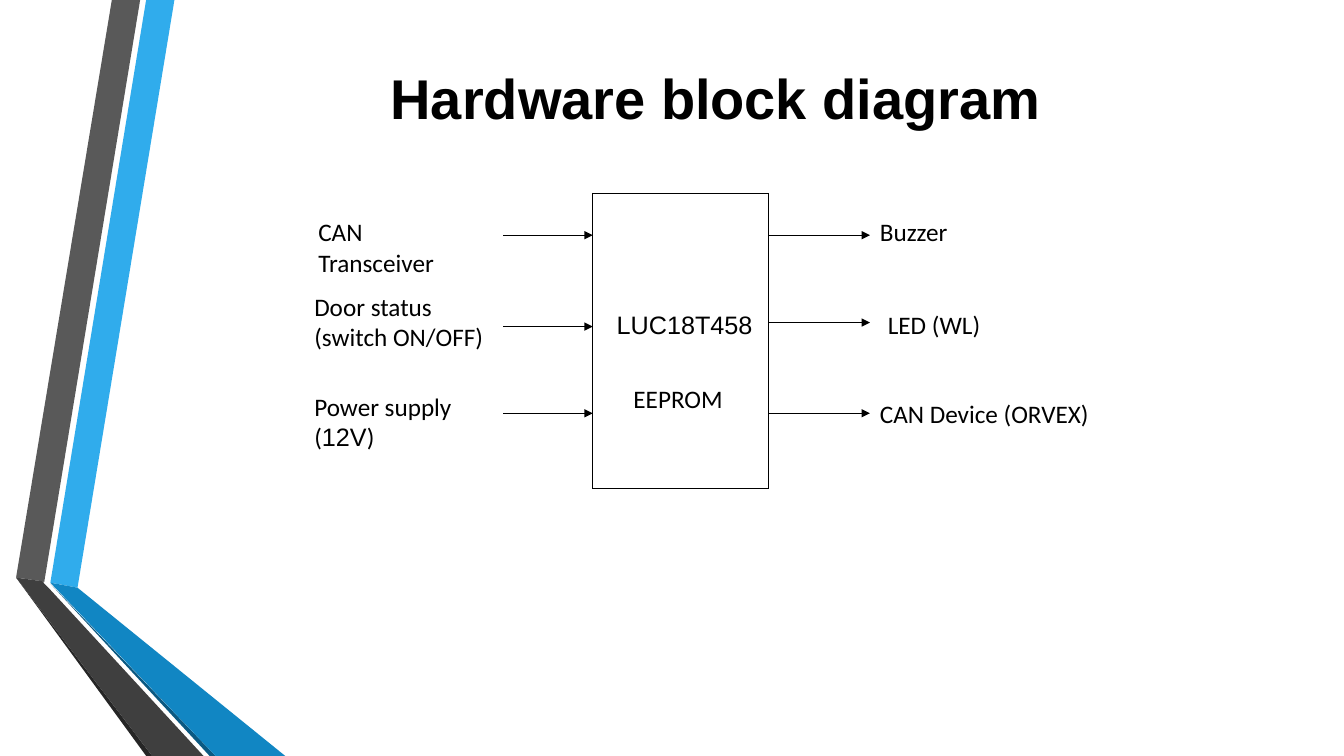
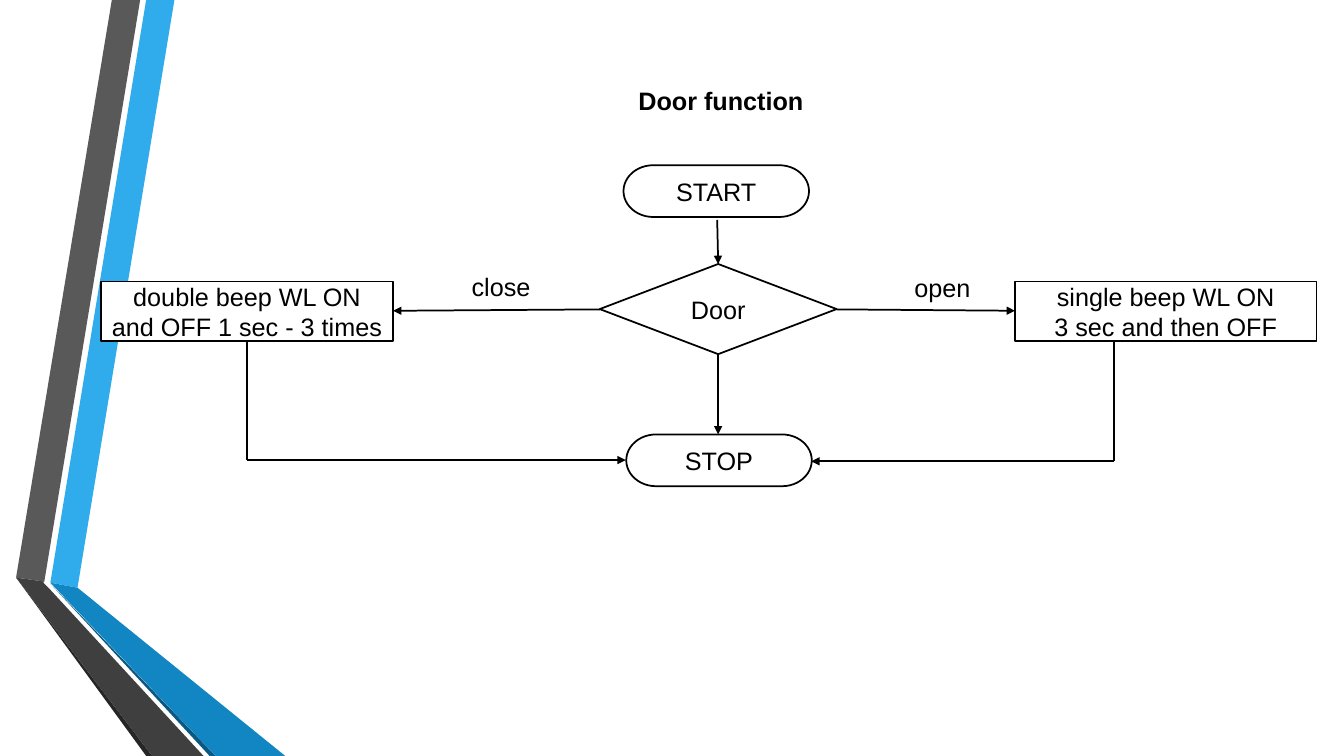
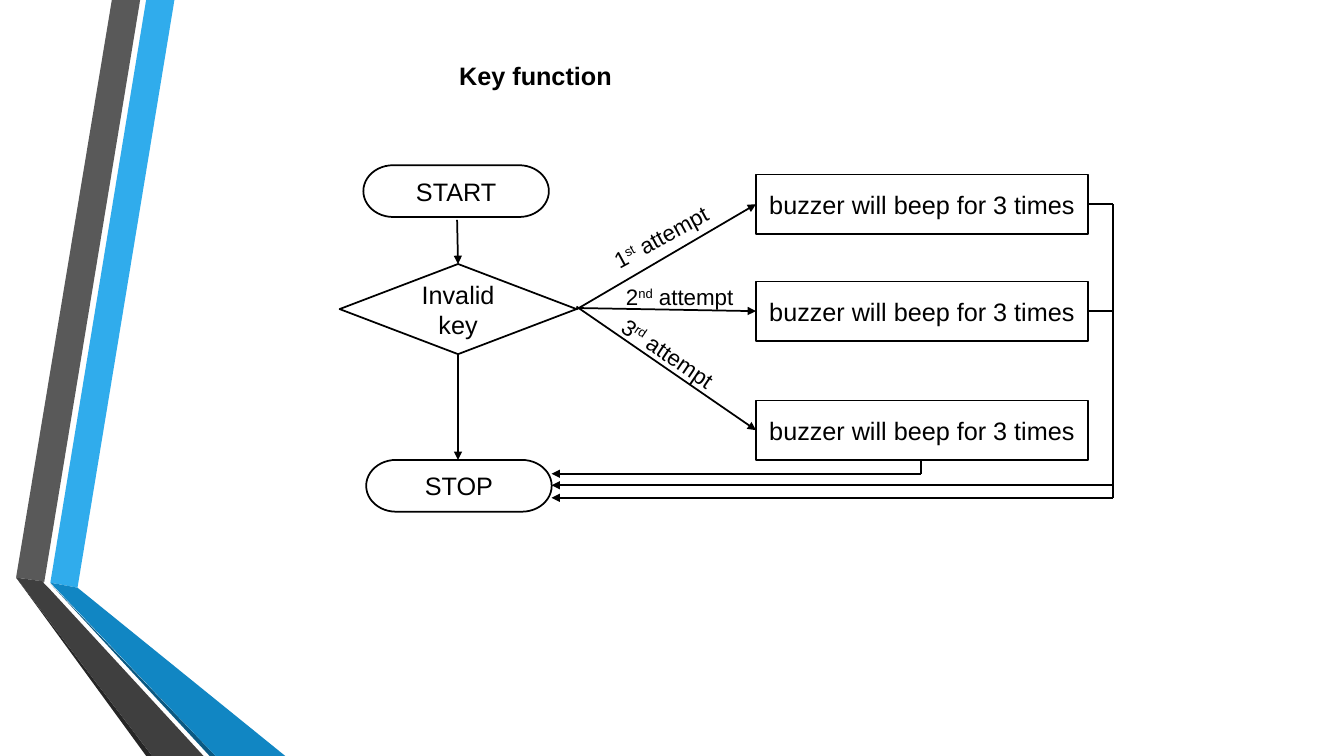
import dataclasses
import itertools

import pptx
import pptx.dml.color
import pptx.enum.shapes
import pptx.enum.text
import pptx.oxml
import pptx.oxml.ns
import pptx.util

Pt = pptx.util.Pt
RGB = pptx.dml.color.RGBColor.from_string
SHAPE = pptx.enum.shapes.MSO_SHAPE
ALIGN = pptx.enum.text.PP_ALIGN
ANCHOR = pptx.enum.text.MSO_ANCHOR


@dataclasses.dataclass(frozen=True)
class Theme:
    ink: str = "000000"
    paper: str = "FFFFFF"
    sky: str = "30ACEC"
    blue: str = "1186C3"
    navy: str = "0B5982"
    grey: str = "595959"
    slate: str = "3F3F3F"
    coal: str = "262626"
    font: str = "Arial"
    label_font: str = "Calibri"
    heading: int = 40
    body: int = 18
    small: int = 16
    thin: float = 0.75
    rule: float = 1.25


T = Theme()
LABEL = {"name": T.label_font}
SMALL = {"size": Pt(T.small)}
SUPER = {"size": Pt(T.small), "baseline": "30000"}

# Shared bands: colour and outline
BANDS = [
    (T.sky, [(36, 416.2), (55.4, 419.8), (124.6, 0), (104.4, 0)]),
    (T.grey, [(100.1, 0), (79.9, 0), (11.5, 412.6), (31.7, 415.4)]),
    (T.coal, [(11.5, 412.6), (104.4, 540), (108.7, 540)]),
    (T.navy, [(36, 416.9), (149.8, 540), (154.1, 540)]),
    (T.blue, [(36, 416.2), (154.1, 540), (203.8, 540), (55.4, 419.8)]),
    (T.slate, [(145.4, 540), (34.6, 419.8), (31, 416.2), (31.7, 415.4),
               (11.5, 412.6), (108.7, 540)]),
]

# Hardware diagram: block, arrow heights and labels (box, paragraphs, alignment)
BLOCK = (423.4, 138.2, 125.3, 211)
INPUT_X, OUTPUT_X = 359.3, 621.4
INPUT_YS = [168, 233.3, 295.2]
OUTPUT_YS = [168, 230.4, 295.2]
HARDWARE_LABELS = [
    ((220.3, 151.2, 125, 51), [[("CAN Transceiver", LABEL)]], ALIGN.LEFT),
    ((217.4, 204.5, 179, 51),
     [[("Door status", LABEL)], [("(switch ON/OFF)", LABEL)]], ALIGN.LEFT),
    ((217.4, 275.8, 179, 51),
     [[("Power supply", LABEL)], [("(", LABEL), ("12V", {}), (")", LABEL)]], ALIGN.LEFT),
    ((433.4, 217.4, 132, 29), [[("LUC18T458", {})]], ALIGN.LEFT),
    ((433.4, 270, 102, 29), [[("EEPROM", LABEL)]], ALIGN.CENTER),
    ((621.4, 151.2, 132, 29), [[("Buzzer", LABEL)]], ALIGN.LEFT),
    ((627.1, 217.4, 132, 29), [[("LED (WL)", LABEL)]], ALIGN.LEFT),
    ((621.4, 280.8, 165, 29), [[("CAN Device (ORVEX)", LABEL)]], ALIGN.LEFT),
]

# Door flow
DOOR_ACTIONS = [
    ((725, 201, 215.3, 42.5), ["single beep WL ON", "3 sec and then OFF"]),
    ((72, 201, 208.8, 42.5), ["double beep WL ON\vand OFF 1 sec - 3 times"]),
]
DOOR_LABELS = [((329.8, 190, 120, 29), "close"), ((646, 190.8, 120, 29), "open")]
DOOR_ROUTES = [
    [(428.4, 221), (280.8, 222)],
    [(597.6, 221), (725, 222)],
    [(176.4, 243.5), (176.4, 328.6), (447, 328.6)],
    [(795.6, 243.5), (795.6, 329.5), (579.5, 329.5)],
]

# Key flow: ordinal, label position and rotation, action height, start and return
KEY_ACTION_X, KEY_ACTION_W, KEY_ACTION_H = 540, 237, 42.5
KEY_ACTION = "buzzer will beep for 3 times"
ATTEMPTS = [
    ("1", "st", (426.2, 148.3), -28.4, 124.6, 221),
    ("2", "nd", (440, 198.7), 0, 201, 220),
    ("3", "rd", (429.8, 247.7), 34.1, 286, 219),
]
KEY_RETURNS = [
    [(777, 145.8), (795, 145.8), (795, 355.6), (394, 355.6)],
    [(777, 222.2), (795, 222.2), (795, 346.6), (394, 346.6)],
    [(658, 328.5), (658, 338.4), (394, 338.4)],
]


def pts(values):
    return [Pt(v) for v in values]


def write(tf, paragraphs, align, anchor=ANCHOR.TOP, **base):
    """Fill a text frame; a paragraph is a string or a list of (text, format)."""
    frame = {"word_wrap": True, "vertical_anchor": anchor,
             "margin_left": Pt(7.2), "margin_right": Pt(7.2),
             "margin_top": Pt(3.6), "margin_bottom": Pt(3.6)}
    for key, value in frame.items():
        setattr(tf, key, value)
    for i, runs in enumerate(paragraphs):
        p = tf.add_paragraph() if i else tf.paragraphs[0]
        p.alignment = align
        if isinstance(runs, str):
            p.text = runs
            styled = [(r, {}) for r in p.runs]
        else:
            styled = []
            for text, fmt in runs:
                r = p.add_run()
                r.text = text
                styled.append((r, fmt))
        for r, fmt in styled:
            fmt = {"name": T.font, "size": Pt(T.body), "bold": False, **base, **fmt}
            baseline = fmt.pop("baseline", None)
            for key, value in fmt.items():
                setattr(r.font, key, value)
            r.font.color.rgb = RGB(T.ink)
            if baseline:
                r.font._element.set("baseline", baseline)


def label(s, box, paragraphs, align=ALIGN.LEFT, rotation=0):
    sp = s.shapes.add_textbox(*pts(box))
    sp.rotation = rotation
    write(sp.text_frame, paragraphs, align)


def node(s, kind, box, paragraphs):
    sp = s.shapes.add_shape(kind, *pts(box))
    sp.shadow.inherit = False
    sp.fill.solid()
    sp.fill.fore_color.rgb = RGB(T.paper)
    sp.line.color.rgb = RGB(T.ink)
    sp.line.width = Pt(T.rule)
    write(sp.text_frame, paragraphs, ALIGN.CENTER, ANCHOR.MIDDLE)


def route(s, points, width=T.rule):
    """Join points by straight lines and put an arrowhead on the last."""
    for start, end in itertools.pairwise(points):
        c = s.shapes.add_connector(pptx.enum.shapes.MSO_CONNECTOR.STRAIGHT,
                                   *pts(start + end))
        c.line.color.rgb = RGB(T.ink)
        c.line.width = Pt(width)
        if end == points[-1]:
            ln = c.line._get_or_add_ln()
            ln.append(ln.makeelement(pptx.oxml.ns.qn("a:tailEnd"), {"type": "triangle"}))
        pr = c._element.spPr
        pr.append(pr.makeelement(pptx.oxml.ns.qn("a:effectLst"), {}))


def titled_slide(prs, text, box, size=T.body):
    s = prs.slides.add_slide(prs.slide_layouts[5])
    sp = s.shapes.title
    sp.left, sp.top, sp.width, sp.height = pts(box)
    write(sp.text_frame, [text], ALIGN.CENTER, ANCHOR.MIDDLE, size=Pt(size), bold=True)
    sp.text_frame.auto_size = pptx.enum.text.MSO_AUTO_SIZE.NONE
    return s


def add_bands(prs, s):
    """Draw the bands and move them behind the title-only layout."""
    tree = prs.slide_layouts[5].shapes._spTree
    for i, (colour, outline) in enumerate(BANDS):
        first, *rest = [tuple(pts(point)) for point in outline]
        builder = s.shapes.build_freeform(*first, scale=1.0)
        builder.add_line_segments(rest, close=True)
        sp = builder.convert_to_shape()
        sp.shadow.inherit = False
        sp.fill.solid()
        sp.fill.fore_color.rgb = RGB(colour)
        sp.line.fill.background()
        sp._element.nvSpPr.cNvPr.set("id", str(100 + i))
        tree.insert(2 + i, sp._element)


def add_block(s):
    table = s.shapes.add_table(1, 1, *pts(BLOCK)).table
    table.first_row = table.horz_banding = False
    cell = table.cell(0, 0)
    pr = cell._tc.get_or_add_tcPr()
    for side in ("lnL", "lnR", "lnT", "lnB"):
        pr.append(pptx.oxml.parse_xml(
            f'<a:{side} {pptx.oxml.ns.nsdecls("a")} w="{Pt(1)}"><a:solidFill>'
            f'<a:srgbClr val="{T.ink}"/></a:solidFill></a:{side}>'))
    cell.fill.solid()
    cell.fill.fore_color.rgb = RGB(T.paper)


def add_spine(s, x, question, stop_y):
    """START, decision and STOP, joined downwards; x is the decision's left."""
    middle = x + 84.6
    node(s, SHAPE.FLOWCHART_TERMINATOR, (x + 17, 118, 132.5, 37), ["START"])
    node(s, SHAPE.FLOWCHART_DECISION, (x, 188.6, 169.2, 64.4), [question])
    node(s, SHAPE.FLOWCHART_TERMINATOR, (x + 19, stop_y, 132.5, 37), ["STOP"])
    route(s, [(middle - 0.7, 157), (middle, 188.6)])
    route(s, [(middle, 253), (middle, stop_y)])


def hardware_slide(prs):
    s = titled_slide(prs, "Hardware block diagram", (116.6, 0, 789, 138.2), T.heading)
    add_bands(prs, s)
    add_block(s)
    left, right = BLOCK[0], BLOCK[0] + BLOCK[2]
    for start, end, ys in ((INPUT_X, left, INPUT_YS), (right, OUTPUT_X, OUTPUT_YS)):
        for y in ys:
            route(s, [(start, y), (end, y)], T.thin)
    for box, paragraphs, align in HARDWARE_LABELS:
        label(s, box, paragraphs, align)


def door_slide(prs):
    s = titled_slide(prs, "Door function", (316, 57.6, 398, 29))
    add_spine(s, 428.4, "Door", 310.3)
    for box, paragraphs in DOOR_ACTIONS:
        node(s, SHAPE.FLOWCHART_PROCESS, box, paragraphs)
    for box, text in DOOR_LABELS:
        label(s, box, [text])
    for points in DOOR_ROUTES:
        route(s, points)


def key_slide(prs):
    s = titled_slide(prs, "Key function", (195, 39.6, 375, 29))
    add_spine(s, 242.6, "Invalid key", 328.5)
    for number, suffix, place, rotation, y, start_y in ATTEMPTS:
        node(s, SHAPE.FLOWCHART_PROCESS,
             (KEY_ACTION_X, y, KEY_ACTION_W, KEY_ACTION_H), [KEY_ACTION])
        runs = [(number, SMALL), (suffix, SUPER), (" attempt", SMALL)]
        label(s, place + (120, 26.8), [runs], rotation=rotation)
        route(s, [(411.8, start_y), (KEY_ACTION_X, y + KEY_ACTION_H / 2)])
    for points in KEY_RETURNS:
        route(s, points)


def main():
    prs = pptx.Presentation()
    prs.slide_width, prs.slide_height = Pt(960), Pt(540)
    for build in (hardware_slide, door_slide, key_slide):
        build(prs)
    prs.save("out.pptx")


if __name__ == "__main__":
    main()
